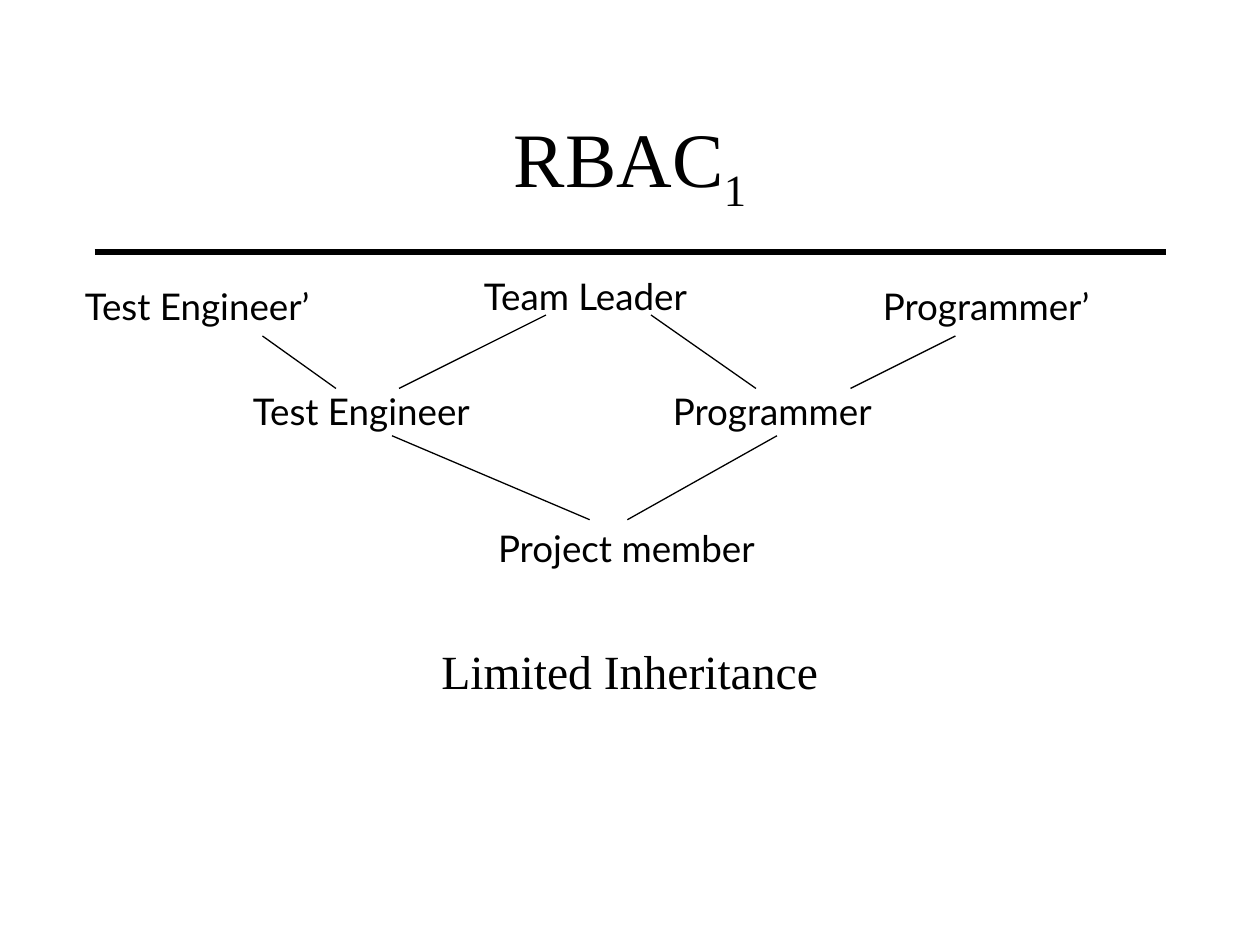
"""Build the RBAC1 limited inheritance slide."""
from lxml import etree
from pptx import Presentation
from pptx.dml.color import RGBColor
from pptx.enum.shapes import MSO_CONNECTOR
from pptx.enum.text import MSO_ANCHOR, MSO_AUTO_SIZE, PP_ALIGN
from pptx.oxml.ns import qn
from pptx.util import Pt

STRAIGHT = MSO_CONNECTOR.STRAIGHT
MIDDLE = MSO_ANCHOR.MIDDLE
FIXED = MSO_AUTO_SIZE.NONE
LEFT, CENTER = PP_ALIGN.LEFT, PP_ALIGN.CENTER

COLORS = {"ink": "000000", "paper": "FFFFFF"}
SERIF, SANS = "Times New Roman", "Lato"

ROLES = [
    ("Test Engineer", (144, 222, 132, 28), 0.5),
    ("Programmer", (384, 222, 126, 28), 0.5),
    ("Project member", (240, 300, 204, 29), 44.6),
    ("Team Leader", (276, 156, 126, 28), 0.5),
    ("Test Engineer’", (48, 162, 150, 28), 0.5),
    ("Programmer’", (504, 162, 138, 28), 0.5),
]
INHERITANCE_LINES = [
    ((312, 180), (228, 222)),
    ((372, 180), (432, 222)),
    ((150, 192), (192, 222)),
    ((546, 192), (486, 222)),
]
MEMBER_LINES = [
    ((224, 249), (337, 297)),
    ((444, 249), (358.5, 297)),
]


def rgb(name):
    return RGBColor.from_string(COLORS[name])


def add_run(paragraph, text, *, size, font, baseline=None):
    run = paragraph.add_run()
    run.text = text
    run.font.size = Pt(size)
    run.font.name = font
    run.font.color.rgb = rgb("ink")
    if baseline is not None:
        run._r.get_or_add_rPr().set("baseline", str(baseline * 1000))


def add_text(slide, text, box, *, size, font, align=LEFT, margins=(0, 0, 0, 0), leading=None):
    frame = slide.shapes.add_textbox(*map(Pt, box)).text_frame
    frame.word_wrap = True
    frame.margin_left, frame.margin_top, frame.margin_right, frame.margin_bottom = map(Pt, margins)
    paragraph = frame.paragraphs[0]
    paragraph.alignment = align
    if leading:
        paragraph.line_spacing = Pt(leading)
    add_run(paragraph, text, size=size, font=font)


def add_line(slide, start, end, width=0.75):
    line = slide.shapes.add_connector(STRAIGHT, *map(Pt, (*start, *end)))
    line.line.color.rgb = rgb("ink")
    line.line.width = Pt(width)
    etree.SubElement(line._element.spPr, qn("a:effectLst"))


def add_title(slide, text, subscript, box):
    title = slide.shapes.title
    title.left, title.top, title.width, title.height = map(Pt, box)
    frame = title.text_frame
    frame.auto_size = FIXED
    frame.vertical_anchor = MIDDLE
    heading = frame.paragraphs[0]
    heading.alignment = CENTER
    add_run(heading, text, size=44, font=SERIF)
    add_run(heading, subscript, size=44, font=SERIF, baseline=-25)


def main():
    deck = Presentation()
    deck.slide_width, deck.slide_height = Pt(720), Pt(540)
    slide = deck.slides.add_slide(deck.slide_layouts.get_by_name("Title Only"))
    slide.background.fill.solid()
    slide.background.fill.fore_color.rgb = rgb("paper")

    add_line(slide, (54, 144), (666, 144), width=3)
    add_title(slide, "RBAC", "1", (54, 48, 612, 90))
    add_text(slide, "Limited Inheritance", (54, 360, 612, 42), size=27.2, font=SERIF,
             align=CENTER, margins=(7.2, 6.6, 7.2, 3.6))
    for role, box, indent in ROLES:
        add_text(slide, role, box, size=21, font=SANS, margins=(indent, 0, 0, 0), leading=25.5)
    for start, end in MEMBER_LINES + INHERITANCE_LINES:
        add_line(slide, start, end)
    deck.save("out.pptx")


if __name__ == "__main__":
    main()
